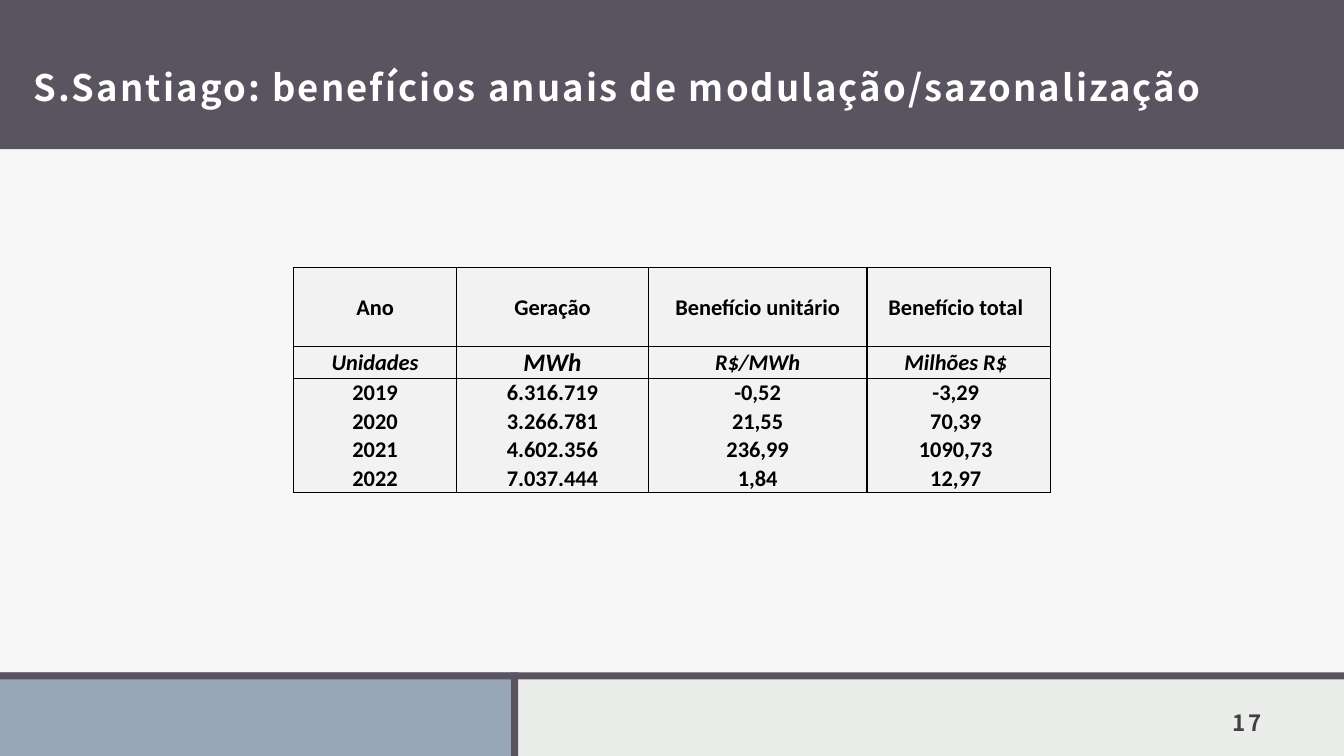
import lxml.etree
import pptx
import pptx.dml.color
import pptx.enum.shapes
import pptx.enum.text
import pptx.oxml.ns
import pptx.util

Inches = pptx.util.Inches
RGBColor = pptx.dml.color.RGBColor
ALIGN = pptx.enum.text.PP_ALIGN
ANCHOR = pptx.enum.text.MSO_ANCHOR
qn = pptx.oxml.ns.qn

BACKGROUND = RGBColor(0xEB, 0xED, 0xEB)
PLUM = RGBColor(0x59, 0x54, 0x60)
BLUE_GREY = RGBColor(0x97, 0xA7, 0xB8)
WHITE = RGBColor(0xFF, 0xFF, 0xFF)
CELL_GREY = RGBColor(0xF2, 0xF2, 0xF2)
DARK_GREY = RGBColor(0x40, 0x40, 0x40)
BLACK = RGBColor(0, 0, 0)

HEADING_FONT = "Noto Sans CJK JP"
TABLE_FONT = "Calibri"
PLAIN_TABLE_STYLE = "{2D5ABB26-0587-4C30-8999-92F81FD0307C}"

# The last column is a narrow empty margin
ROWS = [
    ["Ano", "Geração", "Benefício unitário", "Benefício total", ""],
    ["Unidades", "MWh", "R$/MWh", "Milhões R$", ""],
    ["2019", "6.316.719", "-0,52", "-3,29", ""],
    ["2020", "3.266.781", "21,55", "70,39", ""],
    ["2021", "4.602.356", "236,99", "1090,73", ""],
    ["2022", "7.037.444", "1,84", "12,97", ""],
]
COLUMN_WIDTHS = [1.62, 1.9, 2.17, 1.76, 0.06]
ROW_HEIGHTS = [0.79] + [0.23] * 5
# Rule widths in points, by grid line; zero means no rule
VERTICAL_RULES = [1, 1, 0.5, 1, 0, 0.5]
HORIZONTAL_RULES = [0.5, 0.5, 0.5, 0, 0, 0, 0.5]


def add_band(slide, left, top, width, height, color, opacity=100):
    band = slide.shapes.add_shape(
        pptx.enum.shapes.MSO_SHAPE.RECTANGLE,
        Inches(left), Inches(top), Inches(width), Inches(height))
    band.shadow.inherit = False
    band.fill.solid()
    band.fill.fore_color.rgb = color
    band.line.fill.background()
    if opacity < 100:
        color_element = band.fill._xPr.find(qn("a:solidFill"))[0]
        alpha = lxml.etree.SubElement(color_element, qn("a:alpha"))
        alpha.set("val", str(opacity * 1000))


def write_heading(shape, box, text, size, color, anchor, align):
    """Place a shape in its box and fill it with spaced bold text."""
    shape.left, shape.top, shape.width, shape.height = map(Inches, box)
    frame = shape.text_frame
    frame.word_wrap = True
    frame.auto_size = pptx.enum.text.MSO_AUTO_SIZE.NONE
    frame.vertical_anchor = anchor
    frame.margin_left = frame.margin_right = frame.margin_top = Inches(0.12)
    frame.margin_bottom = Inches(0.1)
    frame.text = text
    paragraph = frame.paragraphs[0]
    paragraph.alignment = align
    run = paragraph.runs[0]
    run.font.name = HEADING_FONT
    run.font.size = pptx.util.Pt(size)
    run.font.bold = True
    run.font.color.rgb = color
    run.font._element.set("spc", "150")
    return paragraph


def add_header(slide, width, height):
    add_band(slide, 0, 0, width, height, PLUM)
    title = slide.shapes.title
    slide.shapes._spTree.append(title._element)  # bring in front of the band
    paragraph = write_heading(
        title, (0.21, 0.23, width - 0.41, 1.02),
        "S.Santiago: benefícios anuais de modulação/sazonalização",
        26, WHITE, ANCHOR.MIDDLE, ALIGN.LEFT)
    paragraph.line_spacing = 1.5


def add_footer(slide, top, width, height):
    rule = 0.07
    split = 5.07
    add_band(slide, 0, top, split, height, BLUE_GREY)
    add_band(slide, 0, top, width, rule, PLUM)
    add_band(slide, split, top, rule, height, PLUM)
    number = slide.shapes.add_textbox(0, 0, 0, 0)
    write_heading(number, (width - 1.77, top + 0.23, 1.07, 0.5), "17",
                  16, DARK_GREY, ANCHOR.BOTTOM, ALIGN.RIGHT)


def set_borders(cell, row, column):
    rules = {
        "a:lnL": VERTICAL_RULES[column],
        "a:lnR": VERTICAL_RULES[column + 1],
        "a:lnT": HORIZONTAL_RULES[row],
        "a:lnB": HORIZONTAL_RULES[row + 1],
    }
    properties = cell._tc.get_or_add_tcPr()
    for tag, points in rules.items():
        line = lxml.etree.SubElement(properties, qn(tag))
        if points:
            line.set("w", str(pptx.util.Pt(points)))
            fill = lxml.etree.SubElement(line, qn("a:solidFill"))
            lxml.etree.SubElement(fill, qn("a:srgbClr")).set("val", str(BLACK))
        else:
            line.set("w", "0")
            lxml.etree.SubElement(line, qn("a:noFill"))


def format_cell(cell, row, column, text):
    set_borders(cell, row, column)
    cell.fill.solid()
    cell.fill.fore_color.rgb = CELL_GREY
    cell.vertical_anchor = ANCHOR.MIDDLE
    cell.margin_left = cell.margin_right = cell.margin_top = Inches(0.01)
    cell.margin_bottom = 0
    paragraph = cell.text_frame.paragraphs[0]
    paragraph.alignment = ALIGN.CENTER
    if not text:
        # Small empty text keeps the row from growing
        end = lxml.etree.SubElement(paragraph._p, qn("a:endParaRPr"))
        end.set("sz", "800")
        return
    paragraph.text = text
    font = paragraph.runs[0].font
    font.name = TABLE_FONT
    font.size = pptx.util.Pt(18 if text == "MWh" else 16)
    font.bold = True
    font.italic = row == 1
    font.color.rgb = BLACK


def add_benefits_table(slide, left, top):
    frame = slide.shapes.add_table(
        len(ROWS), len(COLUMN_WIDTHS), Inches(left), Inches(top),
        Inches(sum(COLUMN_WIDTHS)), Inches(sum(ROW_HEIGHTS)))
    table = frame.table
    table.first_row = table.horz_banding = False
    table._tbl.tblPr.find(qn("a:tableStyleId")).text = PLAIN_TABLE_STYLE
    for column, width in enumerate(COLUMN_WIDTHS):
        table.columns[column].width = Inches(width)
    for row, texts in enumerate(ROWS):
        table.rows[row].height = Inches(ROW_HEIGHTS[row])
        for column, text in enumerate(texts):
            format_cell(table.cell(row, column), row, column, text)


def main():
    width, height = 13.33, 7.5
    header_height, footer_top = 1.48, 6.67
    presentation = pptx.Presentation()
    presentation.slide_width = Inches(width)
    presentation.slide_height = Inches(height)
    slide = presentation.slides.add_slide(presentation.slide_layouts[5])
    slide.background.fill.solid()
    slide.background.fill.fore_color.rgb = BACKGROUND

    # Pale body panel between header and footer
    add_band(slide, 0, header_height, width, footer_top - header_height, WHITE, 60)
    add_header(slide, width, header_height)
    add_footer(slide, footer_top, width, height - footer_top)
    add_benefits_table(slide, 2.91, 2.65)
    presentation.save("out.pptx")


if __name__ == "__main__":
    main()
